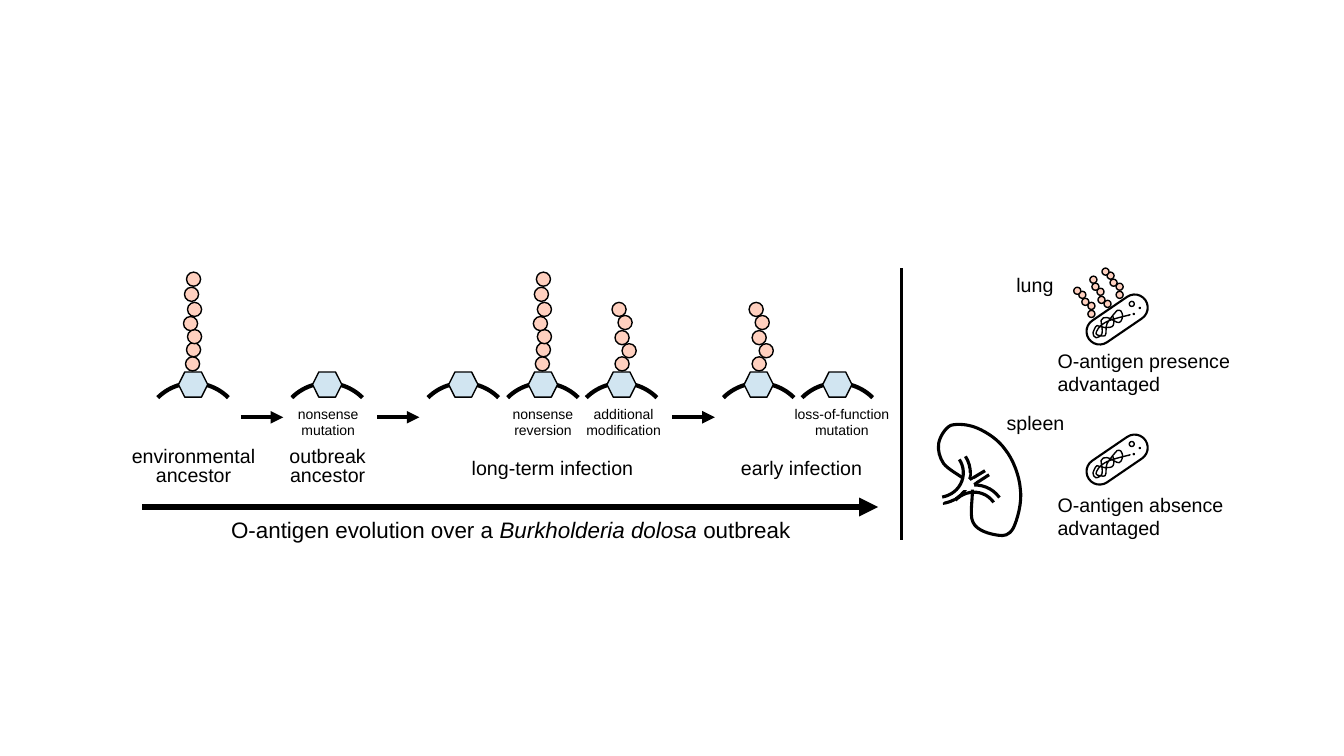
from pptx import Presentation
from pptx.dml.color import RGBColor
from pptx.enum.shapes import MSO_CONNECTOR, MSO_SHAPE
from pptx.enum.text import MSO_AUTO_SIZE, PP_ALIGN
from pptx.oxml.ns import qn
from pptx.util import Cm, Pt
from lxml import etree

ARC, HEXAGON, CIRCLE = MSO_SHAPE.ARC, MSO_SHAPE.HEXAGON, MSO_SHAPE.OVAL
CAPSULE, RECTANGLE = MSO_SHAPE.ROUNDED_RECTANGLE, MSO_SHAPE.RECTANGLE
STRAIGHT = MSO_CONNECTOR.STRAIGHT
LEFT, CENTER = PP_ALIGN.LEFT, PP_ALIGN.CENTER
FIT_SHAPE = MSO_AUTO_SIZE.SHAPE_TO_FIT_TEXT

BLACK = RGBColor(0x00, 0x00, 0x00)
WHITE = RGBColor(0xFF, 0xFF, 0xFF)
CORE_BLUE = RGBColor(0xD1, 0xE5, 0xF1)
SUGAR_PINK = RGBColor(0xFF, 0xD0, 0xBF)

# Bead offsets: x from the left of a membrane arc, y on the slide
LONG_CHAIN = [(0.42, 3.54), (0.43, 3.4), (0.44, 3.27), (0.4, 3.14),
              (0.44, 3), (0.41, 2.85), (0.43, 2.7)]
SHORT_CHAIN = [(0.43, 3.54), (0.5, 3.41), (0.43, 3.28), (0.46, 3.13), (0.4, 3)]
# Bead offsets from the lowest bead on the bacterium
OUTER_CHAIN = [(0, 0), (0, -0.08), (-0.06, -0.12), (-0.09, -0.19), (-0.14, -0.23)]
MIDDLE_CHAIN = [(0, 0), (-0.06, -0.04), (-0.07, -0.12), (-0.12, -0.17), (-0.14, -0.24)]

# Bezier outlines: a start point, then three points for each curve
SPLEEN = [
    (9.56, 4.75), (9.51, 4.71), (9.41, 4.66), (9.36, 4.6), (9.32, 4.54), (9.3, 4.47),
    (9.31, 4.4), (9.32, 4.34), (9.37, 4.25), (9.43, 4.22), (9.5, 4.2), (9.61, 4.21),
    (9.7, 4.25), (9.79, 4.29), (9.9, 4.36), (9.97, 4.46), (10.05, 4.56), (10.11, 4.72),
    (10.12, 4.85), (10.14, 4.98), (10.09, 5.16), (10.05, 5.24), (10.01, 5.31), (9.96, 5.32),
    (9.9, 5.31), (9.83, 5.3), (9.69, 5.27), (9.65, 5.18), (9.61, 5.1), (9.66, 4.9),
    (9.64, 4.82), (9.63, 4.75), (9.61, 4.79), (9.56, 4.75)]
# Relative to the top left of the bacterium
CHROMOSOME = [
    (0.3, 0.1), (0.31, 0.13), (0.31, 0.17), (0.3, 0.19), (0.29, 0.21), (0.25, 0.21),
    (0.22, 0.21), (0.19, 0.21), (0.16, 0.19), (0.14, 0.19), (0.12, 0.2), (0.11, 0.24),
    (0.1, 0.26), (0.1, 0.28), (0.11, 0.31), (0.13, 0.31), (0.14, 0.31), (0.18, 0.3),
    (0.19, 0.27), (0.2, 0.24), (0.18, 0.16), (0.18, 0.14), (0.19, 0.11), (0.21, 0.11),
    (0.24, 0.11), (0.27, 0.11), (0.34, 0.17), (0.36, 0.16), (0.39, 0.15), (0.4, 0.09),
    (0.39, 0.07), (0.39, 0.05), (0.37, 0.03), (0.34, 0.04), (0.32, 0.06), (0.26, 0.13),
    (0.24, 0.17), (0.22, 0.21), (0.24, 0.27), (0.22, 0.29), (0.21, 0.3), (0.13, 0.29),
    (0.13, 0.27), (0.13, 0.25), (0.16, 0.19), (0.22, 0.16), (0.27, 0.13), (0.4, 0.1),
    (0.44, 0.09), (0.48, 0.08), (0.47, 0.08), (0.45, 0.09)]


def inch(value):
    return Cm(value * 2.54)


def bend(shape):
    """Join each three line segments of a freeform into one Bezier curve."""
    segments = list(shape.element.iter(qn("a:lnTo")))
    for i in range(0, len(segments), 3):
        curve = etree.Element(qn("a:cubicBezTo"))
        segments[i].addprevious(curve)
        for segment in segments[i:i + 3]:
            curve.append(segment[0])
            segment.getparent().remove(segment)


class Figure:
    font = "Arial"

    def __init__(self, slide):
        self.slide = slide
        self.shapes = slide.shapes

    def group(self):
        return self.shapes.add_group_shape().shapes

    def style(self, shape, fill, width):
        shape.shadow.inherit = False
        if fill is None:
            shape.fill.background()
        else:
            shape.fill.solid()
            shape.fill.fore_color.rgb = fill
        if width:
            shape.line.color.rgb = BLACK
            shape.line.width = Pt(width)
        else:
            shape.line.fill.background()

    def shape(self, kind, box, fill=None, width=1, rotation=0, flip=False,
              adjustments=(), parent=None):
        shape = (parent or self.shapes).add_shape(kind, *map(inch, box))
        self.style(shape, fill, width)
        shape.rotation = rotation
        if flip:
            shape.element.spPr.get_or_add_xfrm().set("flipV", "1")
        for index, value in enumerate(adjustments):
            shape.adjustments[index] = value

    def vessel(self, box, rotation, start, flip=False):
        self.shape(ARC, box, None, 2.25, rotation, flip, (start, 200.91))

    def outline(self, points, fill=None, width=1, closed=False, parent=None):
        start, *rest = [(inch(x), inch(y)) for x, y in points]
        builder = (parent or self.shapes).build_freeform(*start)
        builder.add_line_segments(rest, close=closed)
        shape = builder.convert_to_shape()
        bend(shape)
        self.style(shape, fill, width)

    def line(self, start, end, width, arrow=False):
        connector = self.shapes.add_connector(STRAIGHT, *map(inch, start + end))
        connector.line.color.rgb = BLACK
        connector.line.width = Pt(width)
        properties = connector.element.spPr
        if arrow:
            etree.SubElement(properties.find(qn("a:ln")), qn("a:tailEnd"), type="triangle")
        etree.SubElement(properties, qn("a:effectLst"))

    def text(self, text, box, size=14, align=CENTER, spacing=None, wrap=True, italic=None):
        frame = self.shapes.add_textbox(*map(inch, box)).text_frame
        frame.word_wrap = wrap
        frame.auto_size = FIT_SHAPE
        for index, line in enumerate(text.split("\n")):
            paragraph = frame.add_paragraph() if index else frame.paragraphs[0]
            paragraph.alignment = align
            if spacing:
                paragraph.line_spacing = spacing
            for part in line.partition(italic) if italic else (line,):
                run = paragraph.add_run()
                run.text = part
                run.font.name = self.font
                run.font.size = Pt(size)
                run.font.italic = part == italic
                run.font.color.rgb = BLACK

    def chain(self, left, top, offsets, diameter):
        parent = self.group()
        for x, y in offsets:
            self.shape(CIRCLE, (left + x, top + y, diameter, diameter), SUGAR_PINK,
                       parent=parent)

    def membrane(self, left, offsets):
        self.shape(ARC, (left, 3.8, 0.99, 0.99), None, 3, 315)
        self.shape(HEXAGON, (left + 0.35, 3.69, 0.29, 0.25), CORE_BLUE)
        if offsets:
            self.chain(left, 0, offsets, 0.14)

    def bacterium(self, left, top):
        parent = self.group()
        self.shape(CAPSULE, (left, top, 0.68, 0.26), None, 1.5, 325.7,
                   adjustments=(0.5,), parent=parent)
        self.outline([(left + x, top + y) for x, y in CHROMOSOME], parent=parent)
        for x, y, diameter, fill in ((0.46, -0.05, 0.05, WHITE), (0.5, 0.07, 0.01, BLACK),
                                     (0.56, 0.01, 0.01, BLACK)):
            self.shape(CIRCLE, (left + x, top + y, diameter, diameter), fill, parent=parent)

    def spleen(self):
        # Vessels, with white patches where they join
        self.vessel((8.99, 4.36, 0.62, 0.65), 105.8, 134.61)
        self.vessel((9.4, 4.88, 0.5, 0.53), 201.3, 143.69, flip=True)
        self.vessel((9.35, 4.81, 0.62, 0.65), 201.3, 143.69, flip=True)
        self.line((9.57, 4.79), (9.77, 4.67), 2.25)
        self.line((9.61, 4.84), (9.81, 4.71), 2.25)
        for box, rotation, flip in (((9.52, 4.79, 0.16, 0.03), 329.8, False),
                                    ((9.41, 4.82, 0.24, 0.05), 317.1, True),
                                    ((9.52, 4.8, 0.14, 0.05), 342.2, True),
                                    ((9.52, 4.81, 0.14, 0.05), 357.5, True),
                                    ((9.5, 4.73, 0.14, 0.05), 288.2, True),
                                    ((9.2, 4.72, 0.21, 0.34), 50.5, False)):
            self.shape(RECTANGLE, box, WHITE, 0, rotation, flip)
        self.vessel((9.04, 4.42, 0.5, 0.53), 102.7, 136.71)


def main():
    presentation = Presentation()
    presentation.slide_width, presentation.slide_height = inch(13.33), inch(7.5)
    figure = Figure(presentation.slides.add_slide(presentation.slide_layouts[6]))

    # Evolution of the O-antigen
    figure.outline(SPLEEN, WHITE, 2.2, closed=True)
    for left, offsets in ((1.42, LONG_CHAIN), (2.75, None), (4.1, None), (4.89, LONG_CHAIN),
                          (5.67, SHORT_CHAIN), (7.03, SHORT_CHAIN), (7.81, None)):
        figure.membrane(left, offsets)
    for label, left, top, width, height in (
            ("environmental ancestor", 1.16, 4.4, 1.52, 0.48),
            ("outbreak ancestor", 2.49, 4.4, 1.52, 0.48),
            ("long-term infection", 4.52, 4.52, 1.92, 0.3),
            ("early infection", 7.19, 4.52, 1.52, 0.3)):
        figure.text(label, (left, top, width, height), spacing=0.8)
    for label, left, width in (("nonsense\nmutation", 2.69, 1.13),
                               ("nonsense\nreversion", 4.82, 1.13),
                               ("additional modification", 5.62, 1.13),
                               ("loss-of-function\nmutation", 7.68, 1.34)):
        figure.text(label, (left, 3.97, width, 0.44), size=10)

    # Timeline
    for left in (2.39, 3.74, 6.67):
        figure.line((left, 4.14), (left + 0.42, 4.14), 3, arrow=True)
    figure.line((1.41, 5.03), (8.71, 5.03), 4.5, arrow=True)
    figure.text("O-antigen evolution over a Burkholderia dolosa outbreak",
                (1.42, 5.07, 7.29, 0.37), size=16, italic="Burkholderia dolosa ")
    figure.line((8.94, 2.66), (8.94, 5.36), 2.2)

    # Organs
    for label, box, align in (
            ("lung", (9.98, 2.66, 0.57, 0.34), CENTER),
            ("spleen", (9.88, 4.03, 0.78, 0.34), CENTER),
            ("O-antigen presence\nadvantaged", (10.39, 3.41, 1.95, 0.57), LEFT),
            ("O-antigen absence\nadvantaged", (10.39, 4.84, 1.89, 0.57), LEFT)):
        figure.text(label, box, align=align, wrap=False)
    for left, top, offsets in ((10.79, 3.08, OUTER_CHAIN), (10.95, 2.98, MIDDLE_CHAIN),
                               (11.07, 2.89, OUTER_CHAIN)):
        figure.chain(left, top, offsets, 0.07)
    for top in (3.04, 4.43):
        figure.bacterium(10.74, top)
    figure.spleen()

    presentation.save("out.pptx")


if __name__ == "__main__":
    main()
